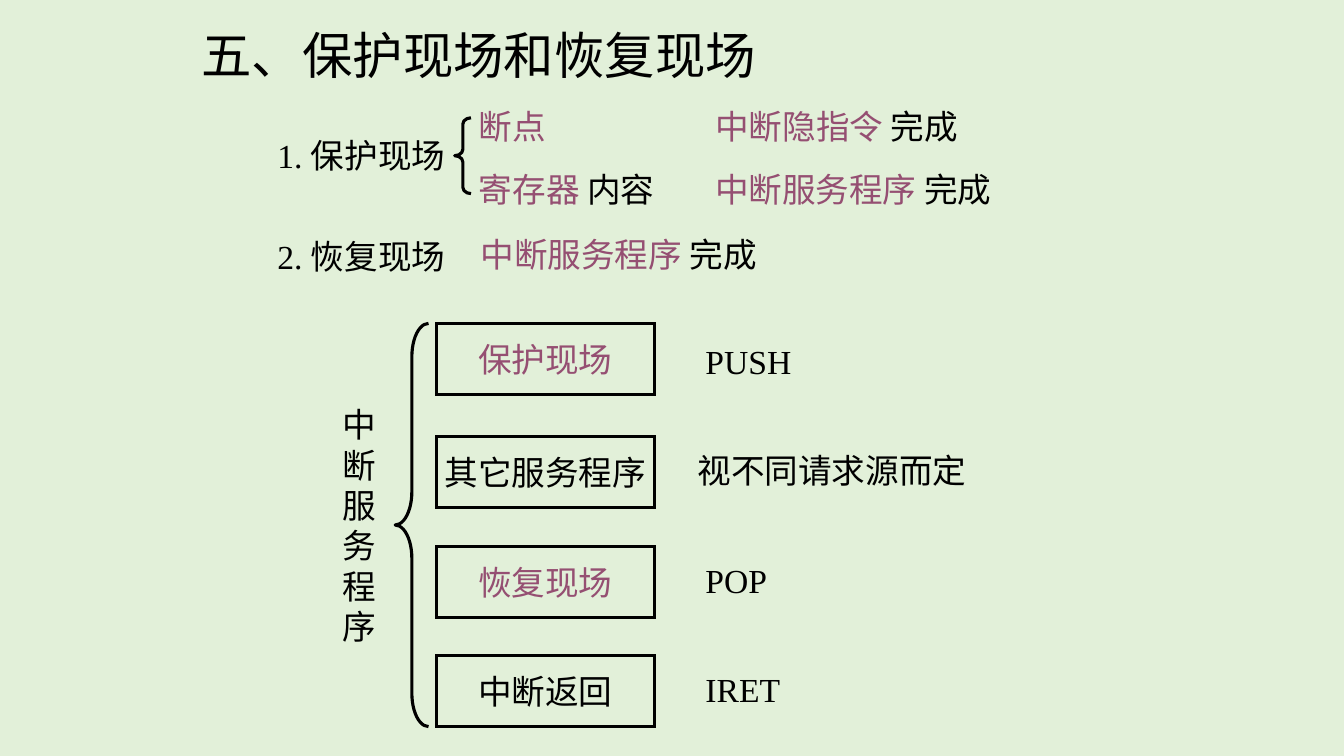
from lxml import etree
from pptx import Presentation
from pptx.dml.color import RGBColor
from pptx.enum.shapes import MSO_SHAPE
from pptx.enum.text import MSO_ANCHOR, MSO_AUTO_SIZE, PP_ALIGN
from pptx.oxml.ns import qn
from pptx.util import Cm, Pt

RECT, BRACE = MSO_SHAPE.RECTANGLE, MSO_SHAPE.LEFT_BRACE
MID, TOP = MSO_ANCHOR.MIDDLE, MSO_ANCHOR.TOP
GROW, CENTER = MSO_AUTO_SIZE.SHAPE_TO_FIT_TEXT, PP_ALIGN.CENTER
BLACK, PLUM, GREEN = "000000", "954F72", "E2F0D9"
FLAT = dict(vertical_anchor=MID, word_wrap=False, margin_left=0,
            margin_right=0, margin_top=Cm(0.13), margin_bottom=Cm(0.13))
FLOW = dict(vertical_anchor=TOP, word_wrap=True, auto_size=GROW)
TALL = dict(vertical_anchor=TOP, word_wrap=False, auto_size=GROW)


def color(code):
    return RGBColor.from_string(code)


def write(shape, lines, form=FLAT, size=24, align=None):
    frame = shape.text_frame
    for key, value in form.items():
        setattr(frame, key, value)
    for i, line in enumerate(lines):
        para = frame.add_paragraph() if i else frame.paragraphs[0]
        para.alignment = align
        for text, tint in line:
            run = para.add_run()
            run.text = text
            run.font.name = "Times New Roman"
            run.font.size = Pt(size)
            run.font.color.rgb = color(tint)


deck = Presentation()
deck.slide_width, deck.slide_height = Cm(33.87), Cm(19.05)
slide = deck.slides.add_slide(deck.slide_layouts[6])
slide.background.fill.solid()
slide.background.fill.fore_color.rgb = color(GREEN)
shapes = slide.shapes

title = shapes.add_textbox(Cm(5.08), Cm(0.64), Cm(17.58), Cm(1.47))
write(title, [[("五、保护现场和恢复现场", BLACK)]], size=36)

done = ("完成", BLACK)
labels = [
    (6.99, 3.18, 4.88, 1.47, FLAT, [("1. 保护现场", BLACK)]),
    (6.99, 5.72, 5.08, 1.47, FLAT, [("2. 恢复现场", BLACK)]),
    (12.07, 4.02, 5.51, 1.47, FLAT, [("寄存器 ", PLUM), ("内容", BLACK)]),
    (12.07, 2.54, 2.74, 1.27, FLAT, [("断点", PLUM)]),
    (11.86, 5.77, 8.46, 1.27, FLOW, [("中断服务程序 ", PLUM), done]),
    (17.78, 2.54, 9.09, 1.27, FLOW, [("中断隐指令 ", PLUM), done]),
    (18.02, 4.02, 10.59, 1.47, FLAT, [("中断服务程序 ", PLUM), done]),
]
for x, y, w, h, form, runs in labels:
    box = shapes.add_textbox(Cm(x), Cm(y), Cm(w), Cm(h))
    write(box, [runs], form)

side = shapes.add_textbox(Cm(8.38), Cm(10.06), Cm(1.37), Cm(6.35))
write(side, [[(char, BLACK)] for char in "中断服务程序"], TALL)

steps = [
    (8.15, "保护现场", PLUM, 17.78, 8.36, 5.28, "PUSH"),
    (11, "其它服务程序", BLACK, 17.58, 11.12, 7.19, "视不同请求源而定"),
    (13.77, "恢复现场", PLUM, 17.78, 13.87, 5.28, "POP"),
    (16.51, "中断返回", BLACK, 17.78, 16.62, 5.28, "IRET"),
]
frames = []
for y, name, tint, x, top, w, note in steps:
    step = shapes.add_shape(RECT, Cm(11), Cm(y), Cm(5.49), Cm(1.8))
    write(step, [[(name, tint)]], align=CENTER)
    frames.append(step)
    box = shapes.add_textbox(Cm(x), Cm(top), Cm(w), Cm(1.47))
    write(box, [[(note, BLACK)]])

for x, y, w, h, curve in [(11.46, 2.97, 0.41, 1.91, 0.39),
                          (9.96, 8.15, 0.84, 10.16, 1)]:
    brace = shapes.add_shape(BRACE, Cm(x), Cm(y), Cm(w), Cm(h))
    brace.adjustments[0] = curve
    frames.append(brace)

for shape in frames:
    shape.shadow.inherit = False
    shape.fill.background()
    shape.line.color.rgb = color(BLACK)
    shape.line.width = Pt(2.25)
    if shape.auto_shape_type == RECT:
        edge = shape._element.spPr.find(qn("a:ln"))
        etree.SubElement(edge, qn("a:miter"), lim="800000")

deck.save("out.pptx")
